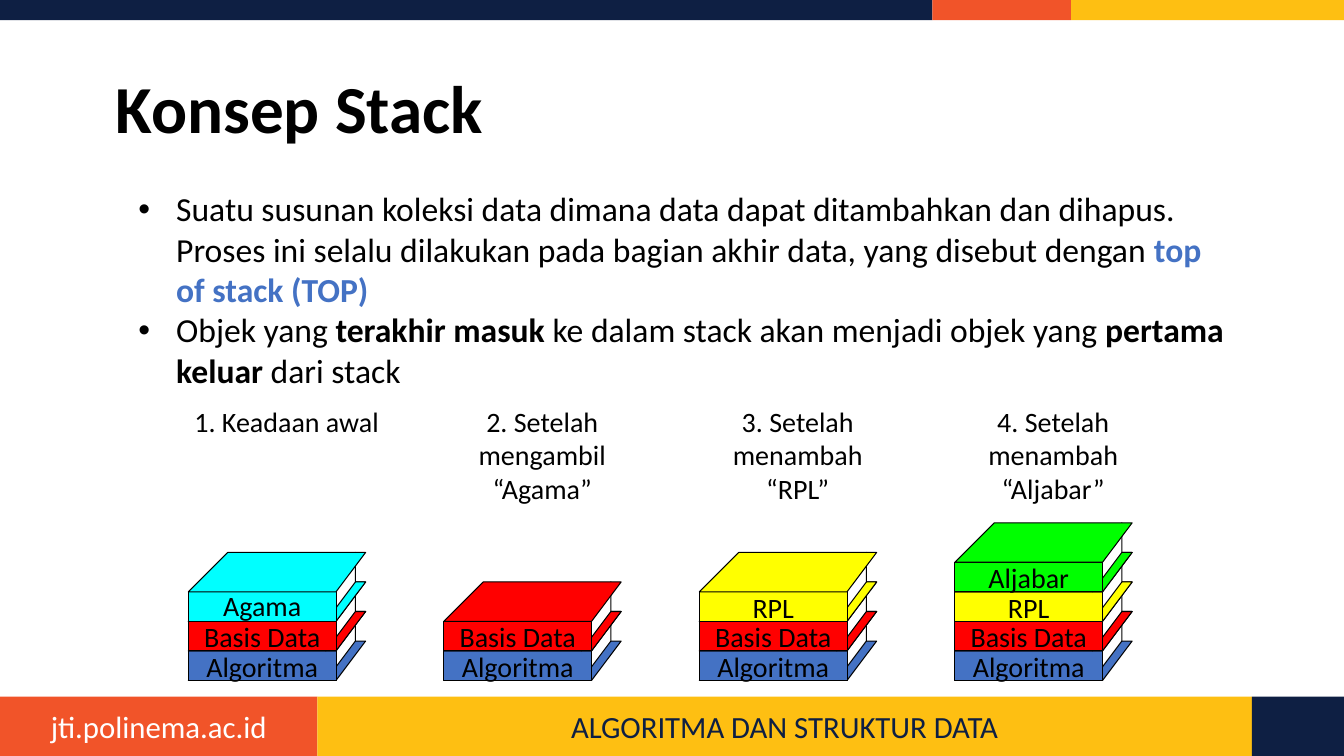
import dataclasses
import typing

import pptx
import pptx.dml.color
import pptx.enum.shapes
import pptx.enum.text
import pptx.oxml
import pptx.oxml.ns
import pptx.util

Pt = pptx.util.Pt
RGBColor = pptx.dml.color.RGBColor
ALIGN = pptx.enum.text.PP_ALIGN
ANCHOR = pptx.enum.text.MSO_ANCHOR
RECT = pptx.enum.shapes.MSO_SHAPE.RECTANGLE

NAVY = RGBColor(0x0E, 0x1F, 0x43)
ORANGE = RGBColor(0xF1, 0x54, 0x29)
AMBER = RGBColor(0xFE, 0xBF, 0x12)
BLUE = RGBColor(0x44, 0x72, 0xC4)
RED = RGBColor(0xFF, 0x00, 0x00)
CYAN = RGBColor(0x00, 0xFF, 0xFF)
YELLOW = RGBColor(0xFF, 0xFF, 0x00)
GREEN = RGBColor(0x00, 0xFF, 0x00)
BLACK = RGBColor(0x00, 0x00, 0x00)
WHITE = RGBColor(0xFF, 0xFF, 0xFF)

FONT = "Calibri"
STACK_LEFT, STACK_STEP, STACK_BOTTOM = 134.6, 182.5, 486
BOOK_W, BOOK_H = 105.5, 21.1
DEPTH = 28.1  # height of a slanted cover
CAPTION_TOP, CAPTION_W = 288.7, 140.4


@dataclasses.dataclass(frozen=True)
class Run:
    text: str
    size: float
    color: RGBColor = BLACK
    bold: bool = False


@dataclasses.dataclass(frozen=True)
class Bar:
    left: float
    top: float
    width: float
    height: float
    color: RGBColor


@dataclasses.dataclass(frozen=True)
class Book:
    title: str
    color: RGBColor
    label_lift: float = 1.1


@dataclasses.dataclass(frozen=True)
class Stack:
    caption: str
    books: tuple[Book, ...]


ALGORITMA = Book("Algoritma", BLUE)
BASIS_DATA = Book("Basis Data", RED)
AGAMA = Book("Agama", CYAN, 2.2)
RPL = Book("RPL", YELLOW)
ALJABAR = Book("Aljabar", GREEN)

STACKS = (
    Stack("1. Keadaan awal", (ALGORITMA, BASIS_DATA, AGAMA)),
    Stack("2. Setelah mengambil “Agama”", (ALGORITMA, BASIS_DATA)),
    Stack("3. Setelah menambah “RPL”", (ALGORITMA, BASIS_DATA, RPL)),
    Stack("4. Setelah menambah “Aljabar”", (ALGORITMA, BASIS_DATA, RPL, ALJABAR)),
)

BARS = (
    Bar(0, 0, 666, 14.4, NAVY),
    Bar(666, 0, 99, 14.4, ORANGE),
    Bar(765, 0, 195, 14.4, AMBER),
    Bar(0, 497.5, 226.8, 42.5, ORANGE),
    Bar(226.8, 497.5, 667.4, 42.5, AMBER),
    Bar(894.2, 497.5, 65.8, 42.5, NAVY),
)

BULLETS = (
    (
        Run("Suatu susunan koleksi data dimana data dapat ditambahkan dan dihapus. "
            "Proses ini selalu dilakukan pada bagian akhir data, yang disebut dengan ", 24),
        Run("top of stack (TOP)", 24, BLUE, True),
    ),
    (
        Run("Objek yang ", 24),
        Run("terakhir masuk ", 24, bold=True),
        Run("ke dalam stack akan menjadi objek yang ", 24),
        Run("pertama keluar", 24, bold=True),
        Run(" dari stack", 24),
    ),
)


def paint(sp: typing.Any, fill: RGBColor, outlined: bool) -> None:
    sp.shadow.inherit = False
    sp.fill.solid()
    sp.fill.fore_color.rgb = fill
    if outlined:
        sp.line.color.rgb = BLACK
        sp.line.width = Pt(0.75)
    else:
        sp.line.fill.background()


def add_rect(shapes: typing.Any, bar: Bar, outlined: bool = False) -> typing.Any:
    sp = shapes.add_shape(RECT, Pt(bar.left), Pt(bar.top), Pt(bar.width), Pt(bar.height))
    paint(sp, bar.color, outlined)
    return sp


def add_polygon(shapes: typing.Any, points: list[tuple[float, float]], fill: RGBColor) -> None:
    corners = [(Pt(x), Pt(y)) for x, y in points]
    builder = shapes.build_freeform(*corners[0])
    builder.add_line_segments(corners[1:], close=True)
    paint(builder.convert_to_shape(), fill, True)


def add_runs(p: typing.Any, runs: typing.Iterable[Run]) -> None:
    for run in runs:
        r = p.add_run()
        r.text = run.text
        r.font.name = FONT
        r.font.size = Pt(run.size)
        r.font.bold = run.bold
        r.font.color.rgb = run.color


def add_text(shapes: typing.Any, left: float, top: float, width: float, height: float,
             paragraphs: typing.Iterable[typing.Iterable[Run]],
             align: ALIGN = ALIGN.LEFT, inset: tuple[float, float] = (0, 0)) -> typing.Any:
    """Add a wrapping text box; inset is (horizontal, vertical)."""
    tf = shapes.add_textbox(Pt(left), Pt(top), Pt(width), Pt(height)).text_frame
    tf.word_wrap = True
    tf.margin_left = tf.margin_right = Pt(inset[0])
    tf.margin_top = tf.margin_bottom = Pt(inset[1])
    for i, runs in enumerate(paragraphs):
        p = tf.add_paragraph() if i else tf.paragraphs[0]
        p.alignment = align
        add_runs(p, runs)
    return tf


def add_bullet(p: typing.Any) -> None:
    pPr = p._p.get_or_add_pPr()
    pPr.set("marL", str(Pt(43.2)))
    pPr.set("indent", str(Pt(-27)))
    for tag, name, value in (("buFont", "typeface", "Arial"), ("buChar", "char", "•")):
        bullet = pptx.oxml.parse_xml(f'<a:{tag} {pptx.oxml.ns.nsdecls("a")} {name}="{value}"/>')
        pPr.append(bullet)


def add_cover(shapes: typing.Any, x: float, y: float, color: RGBColor) -> None:
    add_polygon(shapes, [(x, y), (x + BOOK_W, y), (x + BOOK_W + BOOK_H, y - DEPTH),
                         (x + DEPTH, y - DEPTH)], color)


def add_book(shapes: typing.Any, book: Book, x: float, bottom: float) -> None:
    top = bottom - BOOK_H
    page_x = x + 98.2
    add_cover(shapes, x, bottom, book.color)
    add_polygon(shapes, [(page_x, top), (page_x, bottom), (page_x + BOOK_H, bottom - DEPTH),
                         (page_x + BOOK_H, top - DEPTH)], WHITE)
    add_rect(shapes, Bar(x, top, BOOK_W, BOOK_H, book.color), outlined=True)
    add_cover(shapes, x, top, book.color)
    add_text(shapes, x, top - book.label_lift, BOOK_W, 24.4,
             [[Run(book.title, 20)]], ALIGN.CENTER)


def main() -> None:
    prs = pptx.Presentation()
    prs.slide_width, prs.slide_height = Pt(960), Pt(540)
    s = prs.slides.add_slide(prs.slide_layouts[6])
    shapes = s.shapes

    for bar in BARS:
        sp = add_rect(shapes, bar)
        if bar.color == AMBER and bar.top > 0:
            sp.text_frame.vertical_anchor = ANCHOR.MIDDLE
            p = sp.text_frame.paragraphs[0]
            p.alignment = ALIGN.CENTER
            add_runs(p, [Run("ALGORITMA DAN STRUKTUR DATA", 22, NAVY)])
    add_text(shapes, 0, 501.8, 226.8, 33.9, [[Run("jti.polinema.ac.id", 22, WHITE)]],
             ALIGN.CENTER, (7.2, 3.6))

    title = add_text(shapes, 75.6, 46.8, 808.6, 60.5,
                     [[Run("Konsep Stack", 48, bold=True)]], inset=(7.2, 7.2))
    title.paragraphs[0].line_spacing = 0.9
    body = add_text(shapes, 75.6, 127.4, 808.6, 355.7, BULLETS, inset=(7.2, 7.2))
    for p in body.paragraphs:
        add_bullet(p)

    for column, stack in enumerate(STACKS):
        x = STACK_LEFT + column * STACK_STEP
        for level, book in enumerate(stack.books):
            add_book(shapes, book, x, STACK_BOTTOM - level * BOOK_H)
        add_text(shapes, x, CAPTION_TOP, CAPTION_W, 72.7,
                 [[Run(stack.caption, 20)]], ALIGN.CENTER)

    prs.save("out.pptx")


if __name__ == "__main__":
    main()
